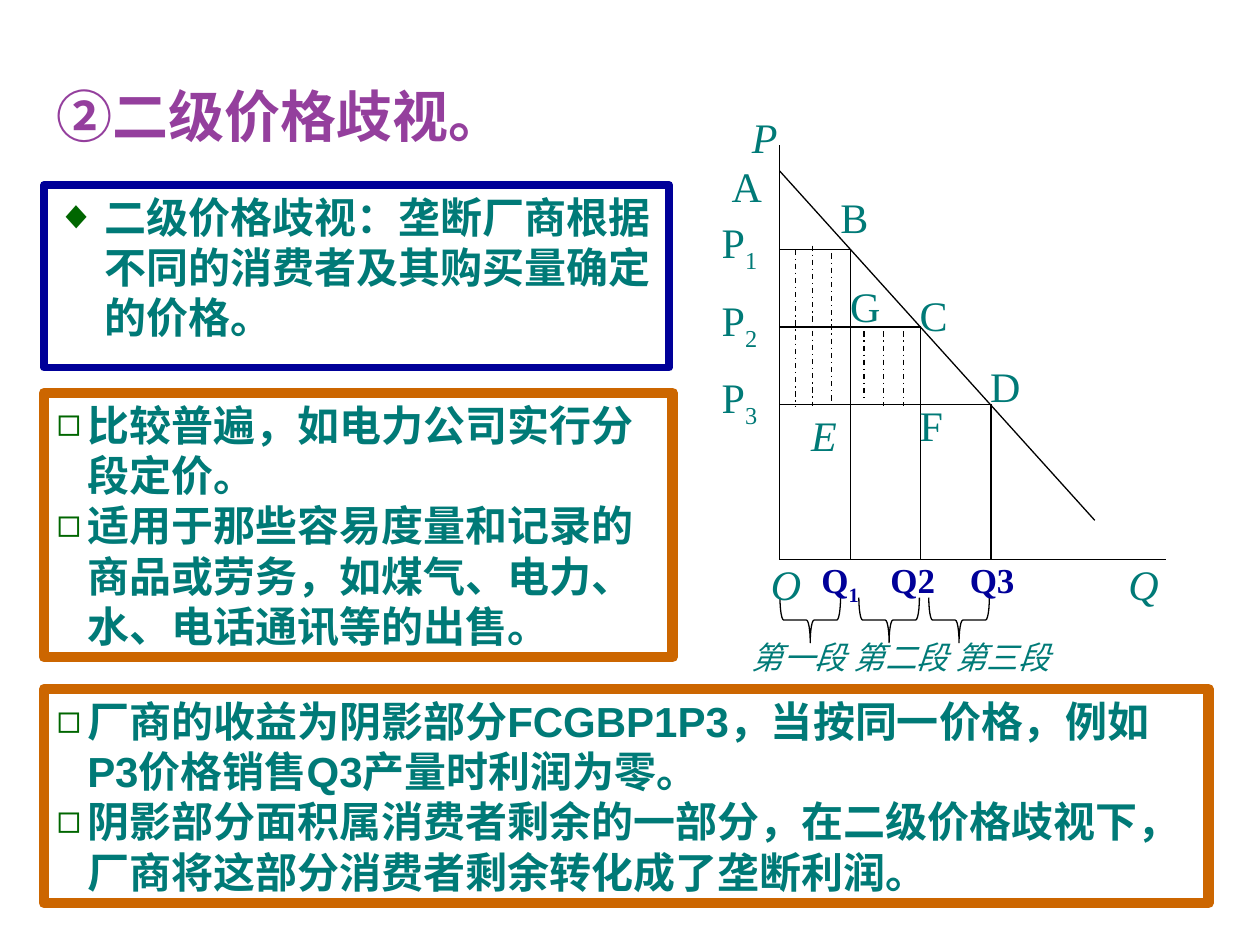
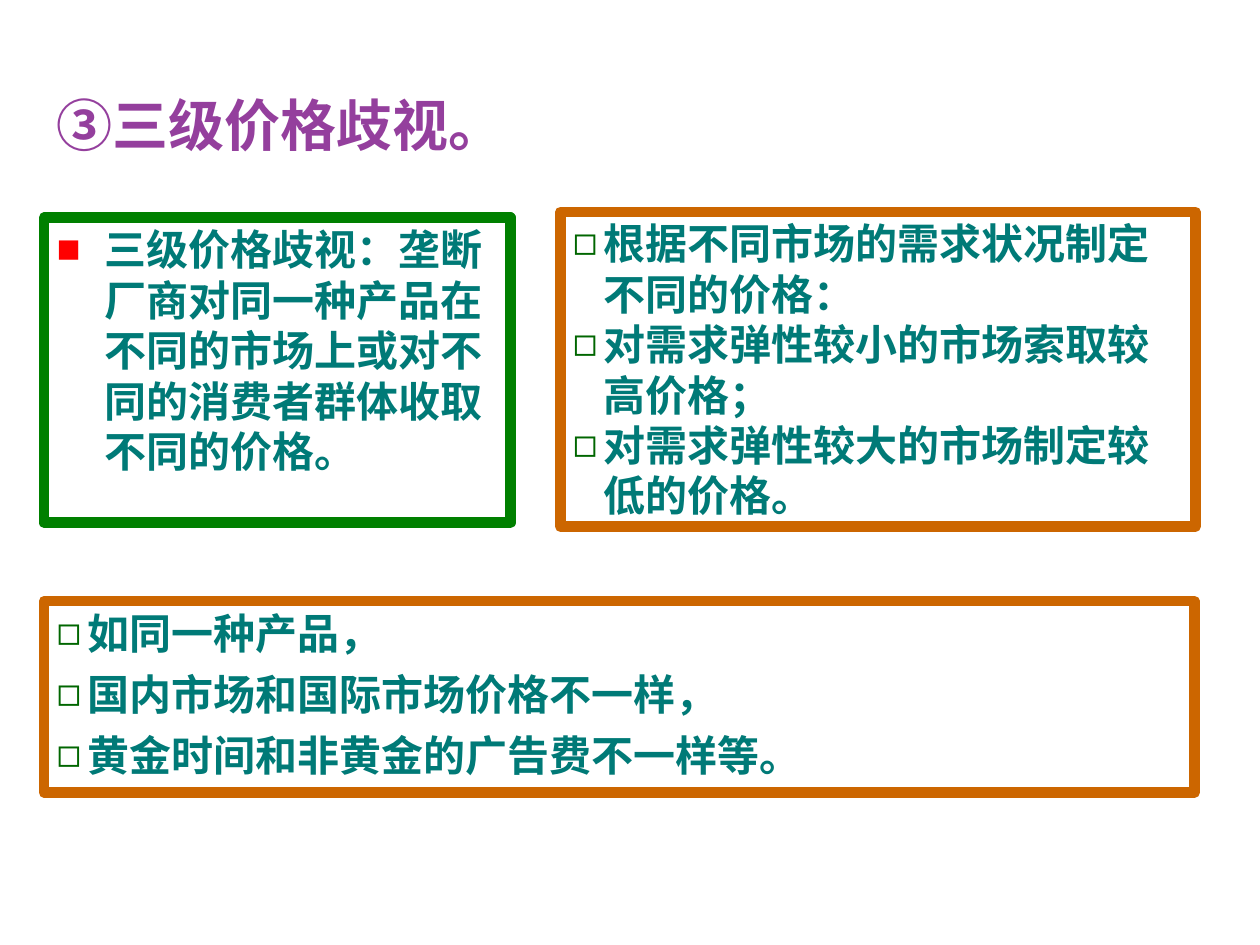
"""Build two slides on second- and third-degree price discrimination."""
from dataclasses import dataclass

from lxml import etree
from pptx import Presentation
from pptx import util as u
from pptx.dml.color import RGBColor
from pptx.enum import dml, shapes, text
from pptx.oxml.ns import qn


@dataclass(frozen=True)
class Theme:
    purple: str = "943F9D"
    teal: str = "007A77"
    navy: str = "000099"
    orange: str = "CC6600"
    green: str = "008000"
    dark_green: str = "006600"
    red: str = "FF0000"
    white: str = "FFFFFF"
    black: str = "000000"
    title: int = 32
    body: int = 24
    quantity: int = 20
    stage: int = 18
    serif: str = "Times New Roman"
    sans: str = "Arial"
    cjk: str = "Noto Sans CJK SC"
    leading: float = 1.2


T = Theme()


def write(p, runs, size, color, font=T.serif, bold=False, italic=False):
    for i, words in enumerate(runs):
        r = p.add_run()
        r.text = words
        f = r.font
        f.size, f.bold, f.italic, f.name = u.Pt(size), bold, italic, font
        f.color.rgb = RGBColor.from_string(color)
        rpr = r._r.get_or_add_rPr()
        etree.SubElement(rpr, qn("a:ea")).set("typeface", T.cjk)
        if i:
            rpr.set("baseline", "-25000")


def wire(s, x1, y1, x2, y2, dash=None):
    c = s.shapes.add_connector(shapes.MSO_CONNECTOR.STRAIGHT,
                               u.Cm(x1), u.Cm(y1), u.Cm(x2), u.Cm(y2))
    c.line.color.rgb = RGBColor.from_string(T.black)
    c.line.width = u.Pt(0.75)
    if dash:
        c.line.dash_style = dash
    etree.SubElement(c._element.spPr, qn("a:effectLst"))


SQUARE = ("◻", T.dark_green, 0.62)
SLIDES = [
    ("②二级价格歧视。", 1.52, 10.2, [
        (0.89, 3.73, 12.6, 3.68, T.navy, 4.5, ("◆", T.dark_green, 0.97), T.cjk, 0,
         ["二级价格歧视：垄断厂商根据不同的消费者及其购买量确定的价格。"]),
        (0.89, 13.89, 23.47, 4.32, T.orange, 6, SQUARE, T.sans, 0,
         ["厂商的收益为阴影部分FCGBP1P3，当按同一价格，例如P3价格销售Q3产量时利润为零。",
          "阴影部分面积属消费者剩余的一部分，在二级价格歧视下，厂商将这部分消费者剩余转化成了垄断利润。"]),
        (0.89, 7.92, 12.67, 5.33, T.orange, 6, SQUARE, T.sans, 0,
         ["比较普遍，如电力公司实行分段定价。",
          "适用于那些容易度量和记录的商品或劳务，如煤气、电力、水、电话通讯等的出售。"]),
    ]),
    ("③三级价格歧视。", 1.7, 15.2, [
        (0.89, 4.39, 9.4, 6.15, T.green, 6, ("■", T.red, 0.97), T.sans, 0,
         ["三级价格歧视：垄断厂商对同一种产品在不同的市场上或对不同的消费者群体收取不同的价格。"]),
        (11.3, 4.27, 12.8, 6.35, T.orange, 6, SQUARE, T.sans, 0,
         ["根据不同市场的需求状况制定不同的价格：",
          "对需求弹性较小的市场索取较高价格；",
          "对需求弹性较大的市场制定较低的价格。"]),
        (0.89, 12.12, 23.19, 3.86, T.orange, 6, SQUARE, T.sans, 6,
         ["如同一种产品，", "国内市场和国际市场价格不一样，", "黄金时间和非黄金的广告费不一样等。"]),
    ]),
]

prs = Presentation()
prs.slide_width, prs.slide_height = u.Cm(25.4), u.Cm(19.05)

for title, top, width, boxes in SLIDES:
    s = prs.slides.add_slide(prs.slide_layouts[6])
    sp = s.shapes.add_textbox(u.Cm(0.89), u.Cm(top), u.Cm(width), u.Cm(1.6))
    tf = sp.text_frame
    tf.word_wrap = True
    p = tf.paragraphs[0]
    p.line_spacing = u.Pt(T.title * T.leading)
    write(p, [title], T.title, T.purple, bold=True)

    for x, y, w, h, edge, weight, (mark, tint, hang), font, gap, lines in boxes:
        sp = s.shapes.add_shape(shapes.MSO_SHAPE.RECTANGLE,
                                u.Cm(x), u.Cm(y), u.Cm(w), u.Cm(h))
        sp.shadow.inherit = False
        sp.fill.solid()
        sp.fill.fore_color.rgb = RGBColor.from_string(T.white)
        sp.line.color.rgb = RGBColor.from_string(edge)
        sp.line.width = u.Pt(weight)
        tf = sp.text_frame
        tf.word_wrap = True
        tf.vertical_anchor = text.MSO_ANCHOR.TOP
        for i, words in enumerate(lines):
            p = tf.add_paragraph() if i else tf.paragraphs[0]
            p.alignment = text.PP_ALIGN.LEFT
            p.line_spacing = u.Pt(T.body * T.leading)
            if i:
                p.space_before = u.Pt(gap)
            ppr = p._p.get_or_add_pPr()
            ppr.set("marL", str(u.Cm(hang)))
            ppr.set("indent", str(-u.Cm(hang)))
            clr = etree.SubElement(ppr, qn("a:buClr"))
            etree.SubElement(clr, qn("a:srgbClr")).set("val", tint)
            etree.SubElement(ppr, qn("a:buSzPct")).set("val", "95000")
            etree.SubElement(ppr, qn("a:buFont")).set("typeface", T.sans)
            etree.SubElement(ppr, qn("a:buChar")).set("char", mark)
            write(p, [words], T.body, T.teal, font, bold=True)

s = prs.slides[0]
ox, oy = 15.72, 11.28
q_step, p_top, p_step = 1.42, 5.03, 1.56

wire(s, ox, oy, 23.5, oy)
wire(s, ox, oy, ox, 2.92)
wire(s, ox, 3.45, 22.07, 10.49)
for i in range(3):
    q, price = ox + q_step * (i + 1), p_top + p_step * i
    wire(s, ox, price, q, price)
    wire(s, q, price, q, oy)

HATCHES = [(16.03, 5.03, 8.18), (16.38, 4.95, 8.18), (16.76, 5.11, 8.1),
           (17.42, 6.68, 8.1), (17.81, 6.68, 8.18), (18.21, 6.68, 8.18)]
for x, y1, y2 in HATCHES:
    wire(s, x, y1, x, y2, dml.MSO_LINE.DASH_DOT)

for x in (15.88, 17.47, 18.88):
    sp = s.shapes.add_shape(shapes.MSO_SHAPE.LEFT_BRACE,
                            u.Cm(x), u.Cm(11.89), u.Cm(0.91), u.Cm(1.22))
    sp.rotation = 270
    sp.shadow.inherit = False
    sp.fill.background()
    sp.line.color.rgb = RGBColor.from_string(T.black)
    sp.line.width = u.Pt(0.75)

axis = (T.body, T.teal, False, True)
point = (T.body, T.teal, False, False)
quantity = (T.quantity, T.navy, True, False)
stage = (T.stage, T.teal, False, True)
LABELS = [
    (["P"], 14.91, 2.13, 1.4, 1.2, axis),
    (["Q"], 22.5, 11.13, 1.12, 1.42, axis),
    (["O"], 15.29, 11.13, 1.0, 1.42, axis),
    (["E"], 16.1, 8.13, 1.2, 1.2, axis),
    (["A"], 14.5, 3.12, 2.13, 1.4, point),
    (["B"], 16.69, 3.73, 1.27, 1.24, point),
    (["C"], 18.29, 5.72, 1.27, 1.3, point),
    (["D"], 19.71, 7.14, 1.24, 1.22, point),
    (["F"], 18.29, 7.92, 1.68, 1.17, point),
    (["G"], 16.89, 5.54, 1.0, 1.2, point),
    (["P", "1"], 14.3, 4.24, 2.0, 1.27, point),
    (["P", "2"], 14.3, 5.82, 1.6, 1.32, point),
    (["P", "3"], 14.3, 7.37, 1.6, 1.55, point),
    (["Q", "1"], 16.31, 11.13, 1.52, 1.42, quantity),
    (["Q2"], 17.7, 11.13, 1.9, 1.42, quantity),
    (["Q3"], 19.3, 11.13, 1.5, 1.22, quantity),
    (["第一段 第二段 第三段"], 14.91, 12.73, 7.9, 1.07, stage),
]
for runs, x, y, w, h, (size, color, bold, italic) in LABELS:
    sp = s.shapes.add_textbox(u.Cm(x), u.Cm(y), u.Cm(w), u.Cm(h))
    tf = sp.text_frame
    tf.word_wrap = True
    p = tf.paragraphs[0]
    if size == T.stage:
        p.line_spacing = u.Pt(size * T.leading)
    write(p, runs, size, color, bold=bold, italic=italic)

prs.save("out.pptx")
